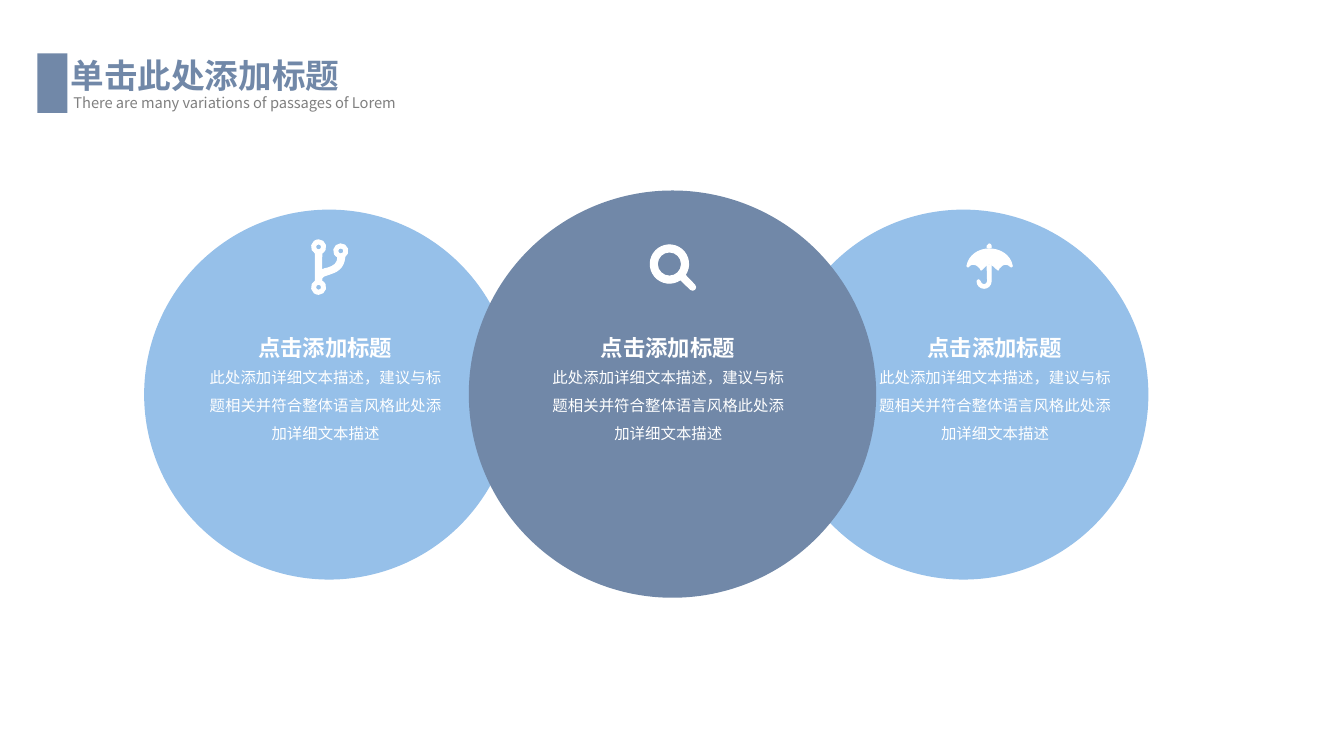
import math

from lxml import etree
from pptx import Presentation
from pptx import util as u
from pptx.dml.color import RGBColor
from pptx.enum import shapes, text
from pptx.oxml import parse_xml
from pptx.oxml.ns import nsdecls, qn

PX = 9144  # EMU per px, 100 px to the inch
SLATE = RGBColor(0x71, 0x88, 0xA8)
SKY = RGBColor(0x96, 0xC0, 0xE9)
GREY = RGBColor(0x80, 0x80, 0x80)
WHITE = RGBColor(0xFF, 0xFF, 0xFF)
FONT = "Noto Sans CJK SC"
HEADING = "点击添加标题"
BODY = "此处添加详细文本描述，建议与标题相关并符合整体语言风格此处添加详细文本描述"


def write(sp, words, size, color, bold=False, align=text.PP_ALIGN.LEFT,
          wrap=True, spacing=1.18):
    """Fill sp with one paragraph; spacing is the line pitch in font sizes."""
    tf = sp.text_frame
    tf.word_wrap = wrap
    tf.auto_size = text.MSO_AUTO_SIZE.NONE
    tf.vertical_anchor = text.MSO_ANCHOR.TOP
    p = tf.paragraphs[0]
    p.alignment = align
    p.line_spacing = u.Pt(size * spacing)
    r = p.add_run()
    r.text = words
    r.font.size = u.Pt(size)
    r.font.bold = bold
    r.font.color.rgb = color
    r.font.name = FONT
    r.font._element.find("{*}latin").addnext(
        parse_xml(f'<a:ea {nsdecls("a")} typeface="{FONT}"/>'))


def place(sp, x, y, w, h):
    sp.left, sp.top, sp.width, sp.height = (n * PX for n in (x, y, w, h))


def add_text(s, x, y, w, h, words, **style):
    sp = s.shapes.add_textbox(x * PX, y * PX, w * PX, h * PX)
    write(sp, words, **style)


def add_block(s, kind, x, y, w, h, color):
    sp = s.shapes.add_shape(kind, x * PX, y * PX, w * PX, h * PX)
    sp.shadow.inherit = False
    sp.fill.solid()
    sp.fill.fore_color.rgb = color
    sp.line.fill.background()


def arc(cx, cy, radius, start=0, end=360):
    """Bezier points of an arc; angles in degrees, clockwise from the right."""
    count = math.ceil(abs(end - start) / 90)
    step = math.radians((end - start) / count)
    k = 4 / 3 * math.tan(step / 4)
    points = []
    for i in range(count):
        a = math.radians(start) + i * step
        b = a + step
        corners = [(math.cos(a), math.sin(a)),
                   (math.cos(a) - k * math.sin(a), math.sin(a) + k * math.cos(a)),
                   (math.cos(b) + k * math.sin(b), math.sin(b) - k * math.cos(b)),
                   (math.cos(b), math.sin(b))]
        points += [(cx + radius * x, cy + radius * y) for x, y in corners[bool(points):]]
    return points


def join(*pieces):
    """Chain Bezier pieces, with a straight step wherever two do not meet."""
    points = list(pieces[0])
    for piece in pieces[1:]:
        if math.dist(points[-1], piece[0]) > 0.5:
            points += [piece[0]] * 3
        points += piece[1:]
    return points


def add_icon(s, contours):
    """Draw closed Bezier contours as one white shape; inner ones are holes."""
    builder = None
    for contour in contours:
        start, *rest = [(x * PX, y * PX) for x, y in contour]
        if builder is None:
            builder = s.shapes.build_freeform(*start)
        else:
            builder.move_to(*start)
        builder.add_line_segments(rest, close=True)
    sp = builder.convert_to_shape()
    steps = list(sp._element.iter(qn("a:lnTo")))
    for trio in zip(steps[::3], steps[1::3], steps[2::3]):
        bezier = etree.Element(qn("a:cubicBezTo"))
        trio[0].addprevious(bezier)
        for step in trio:
            bezier.append(step[0])
            step.getparent().remove(step)
    sp.shadow.inherit = False
    sp.fill.solid()
    sp.fill.fore_color.rgb = WHITE
    sp.line.color.rgb = WHITE
    sp.line.width = u.Pt(0.75)


def branch_contours():
    top, bottom, side = (316, 245), (316, 285), (338, 249)
    outline = join([(342, 255), (341, 267), (333, 270), (327, 272),
                    (321, 274), (319, 274), (319, 278)],
                   arc(*bottom, 7, -63, 243),
                   arc(*top, 7, 117, 423),
                   [(319, 268), (321, 267), (323, 266), (325, 266),
                    (331, 264), (335, 262), (335, 255)],
                   arc(*side, 7, 117, 417))
    return [outline] + [arc(*ring, 3) for ring in (top, bottom, side)]


def magnifier_contours():
    lens = (664, 262)
    outline = join(arc(*lens, 19, 55, 395), arc(687, 285, 3, -45, 135))
    return [outline, arc(*lens, 12)]


def umbrella_contours():
    canopy = join([(959, 264), (961, 253), (971, 247), (981, 247),
                   (992, 247), (1002, 253), (1004, 264)],
                  [(1003, 265), (999, 261), (995, 261), (991, 266)],
                  [(990, 268), (988, 267), (985, 262), (981, 262),
                   (978, 262), (975, 267), (973, 268)],
                  [(972, 266), (968, 261), (963, 261), (960, 265)])
    handle = join([(983, 263)], arc(976, 279, 7, 0, 180),
                  arc(970.5, 279, 1.5, 180, 360),
                  arc(976, 279, 3.5, 180, 0), [(979, 263)])
    tip = join([(979, 246)], arc(981, 244, 2, 180, 360), [(983, 246)])
    return [canopy, handle, tip]


def add_caption(s, center):
    style = dict(color=WHITE, align=text.PP_ALIGN.CENTER)
    add_text(s, center - 78, 327, 155, 37, HEADING, size=16, bold=True,
             wrap=False, **style)
    add_text(s, center - 125, 351, 250, 91, BODY, size=11, spacing=20 / 11, **style)


def main():
    prs = Presentation()
    prs.slide_width, prs.slide_height = 1333 * PX, 750 * PX
    s = prs.slides.add_slide(prs.slide_layouts[5])

    place(s.shapes.title, 60, 50, 289, 50)
    write(s.shapes.title, "单击此处添加标题", size=24, color=SLATE, bold=True, wrap=False)
    add_text(s, 63, 88, 434, 28, "There are many variations of passages of Lorem",
             size=10.5, color=GREY)
    add_block(s, shapes.MSO_SHAPE.RECTANGLE, 37, 53, 30, 59, SLATE)

    for x, y, diameter, color in ((143, 208, 367, SKY), (772, 208, 367, SKY),
                                  (465, 189, 404, SLATE)):
        add_block(s, shapes.MSO_SHAPE.OVAL, x, y, diameter, diameter, color)
    for contours in (branch_contours(), magnifier_contours(), umbrella_contours()):
        add_icon(s, contours)
    for center in (323, 663, 987):
        add_caption(s, center)

    prs.save("out.pptx")


if __name__ == "__main__":
    main()
